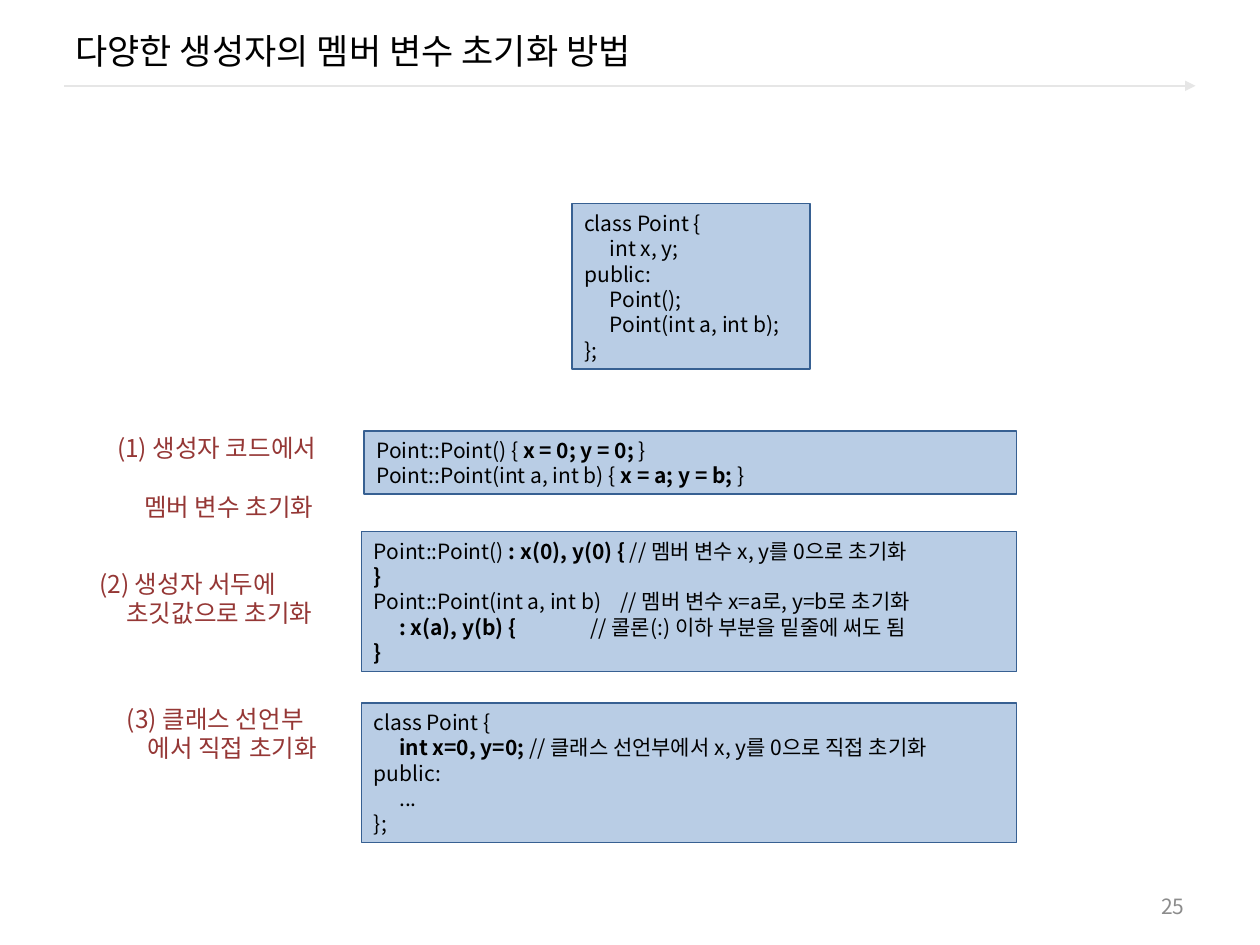
from lxml import etree
from pptx import Presentation, util as u
from pptx.dml.color import RGBColor
from pptx.enum import shapes, text
from pptx.oxml.ns import qn

FONT = "Noto Sans CJK KR"
BLACK, GREY, RED = "000000", "8C8C8C", "953735"
PALE_BLUE, BLUE, RULE_GREY = "B9CDE5", "376092", "E6E6E6"
TAB_STEP, TAB_COUNT = 0.51, 8

TITLE = "다양한 생성자의 멤버 변수 초기화 방법"
PAGE = "25"

# (left, top, width, height) in cm; lines are lists of pieces, "*" marks bold
CODE = [
    ((11.53, 4.11, 4.8, 3.33), [
        ["class Point {"],
        ["\tint x, y;"],
        ["public:"],
        ["\tPoint();"],
        ["\tPoint(int a, int b);"],
        ["};"],
    ]),
    ((7.34, 8.69, 13.16, 1.27), [
        ["Point::Point() { ", "*x = 0; y = 0; ", "}"],
        ["Point::Point(int a, int b) { ", "*x = a; y = b; ", "}"],
    ]),
    ((7.29, 10.72, 13.21, 2.82), [
        ["Point::Point()", "* : x(0), y(0) {", " // 멤버 변수 x, y를 0으로 초기화"],
        ["*}"],
        ["Point::Point(int a, int b)    // 멤버 변수 x=a로, y=b로 초기화"],
        ["\t", "*: x(a), y(b) {", " \t\t\t   // 콜론(:) 이하 부분을 밑줄에 써도 됨"],
        ["*}"],
    ]),
    ((7.29, 14.17, 13.21, 2.82), [
        ["class Point {"],
        ["\t", "*int x=0, y=0; ", "// 클래스 선언부에서 x, y를 0으로 직접 초기화"],
        ["public:"],
        ["\t..."],
        ["};"],
    ]),
]

# box, two lines, indent of the second line (cm), space before it (pt)
LABELS = [
    ((2.11, 8.61, 5.05, 1.45), ["(1) 생성자 코드에서", "멤버 변수 초기화"], 0.55, 17),
    ((1.75, 11.35, 5.41, 1.45), ["(2) 생성자 서두에", "초깃값으로 초기화"], 0.55, 0),
    ((2.31, 14.07, 4.85, 1.45), ["(3) 클래스 선언부", "에서 직접 초기화"], 0.42, 0),
]


def color(value):
    return RGBColor.from_string(value)


def lengths(box):
    return [u.Cm(value) for value in box]


def set_font(paragraph, size, value):
    font = paragraph.font
    font.size = u.Pt(size)
    font.color.rgb = color(value)
    font.name = FONT
    latin = font._element.find(qn("a:latin"))
    east_asian = etree.Element(qn("a:ea"), typeface=FONT)
    latin.addnext(east_asian)


def paragraphs(frame, count):
    return [frame.paragraphs[0]] + [frame.add_paragraph() for _ in range(count - 1)]


def add_text(slide, box, lines, size, value, anchor=text.MSO_ANCHOR.TOP):
    frame = slide.shapes.add_textbox(*lengths(box)).text_frame
    frame.word_wrap = True
    frame.vertical_anchor = anchor
    written = paragraphs(frame, len(lines))
    for paragraph, line in zip(written, lines):
        paragraph.add_run().text = line
        set_font(paragraph, size, value)
    return written


def add_tabs(paragraph):
    stops = etree.SubElement(paragraph._p.get_or_add_pPr(), qn("a:tabLst"))
    for number in range(1, TAB_COUNT + 1):
        etree.SubElement(stops, qn("a:tab"), pos=str(u.Cm(TAB_STEP * number)), algn="l")


def add_code(slide, box, lines):
    panel = slide.shapes.add_shape(shapes.MSO_SHAPE.RECTANGLE, *lengths(box))
    panel.shadow.inherit = False
    panel.fill.solid()
    panel.fill.fore_color.rgb = color(PALE_BLUE)
    panel.line.color.rgb = color(BLUE)
    panel.line.width = u.Pt(0.75)
    frame = panel.text_frame
    frame.word_wrap = True
    frame.vertical_anchor = text.MSO_ANCHOR.TOP
    for paragraph, pieces in zip(paragraphs(frame, len(lines)), lines):
        add_tabs(paragraph)
        paragraph.alignment = text.PP_ALIGN.LEFT
        paragraph.line_spacing = u.Pt(14.5)
        for piece in pieces:
            run = paragraph.add_run()
            run.text = piece.removeprefix("*")
            if piece.startswith("*"):
                run.font.bold = True
        set_font(paragraph, 12, BLACK)


def add_title_rule(slide):
    rule = slide.shapes.add_connector(
        shapes.MSO_CONNECTOR.STRAIGHT, *lengths((1.3, 1.73, 24.1, 1.73)))
    rule.line.color.rgb = color(RULE_GREY)
    rule.line.width = u.Pt(1.5)
    etree.SubElement(rule.line._get_or_add_ln(), qn("a:tailEnd"), type="triangle")
    etree.SubElement(rule._element.spPr, qn("a:effectLst"))


def main():
    deck = Presentation()
    deck.slide_width, deck.slide_height = u.Cm(25.4), u.Cm(19.05)
    slide = deck.slides.add_slide(deck.slide_layouts[6])

    add_title_rule(slide)
    middle = text.MSO_ANCHOR.MIDDLE
    add_text(slide, (1.27, 0.2, 22.86, 1.63), [TITLE], 20, BLACK, middle)
    page, = add_text(slide, (18.21, 17.86, 5.92, 0.81), [PAGE], 12, GREY, middle)
    page.alignment = text.PP_ALIGN.RIGHT

    for box, lines in CODE:
        add_code(slide, box, lines)
    for box, lines, indent, gap in LABELS:
        first, second = add_text(slide, box, lines, 14, RED)
        first.line_spacing = second.line_spacing = u.Pt(16.6)
        second._p.get_or_add_pPr().set("marL", str(u.Cm(indent)))
        if gap:
            second.space_before = u.Pt(gap)

    deck.save("out.pptx")


if __name__ == "__main__":
    main()
